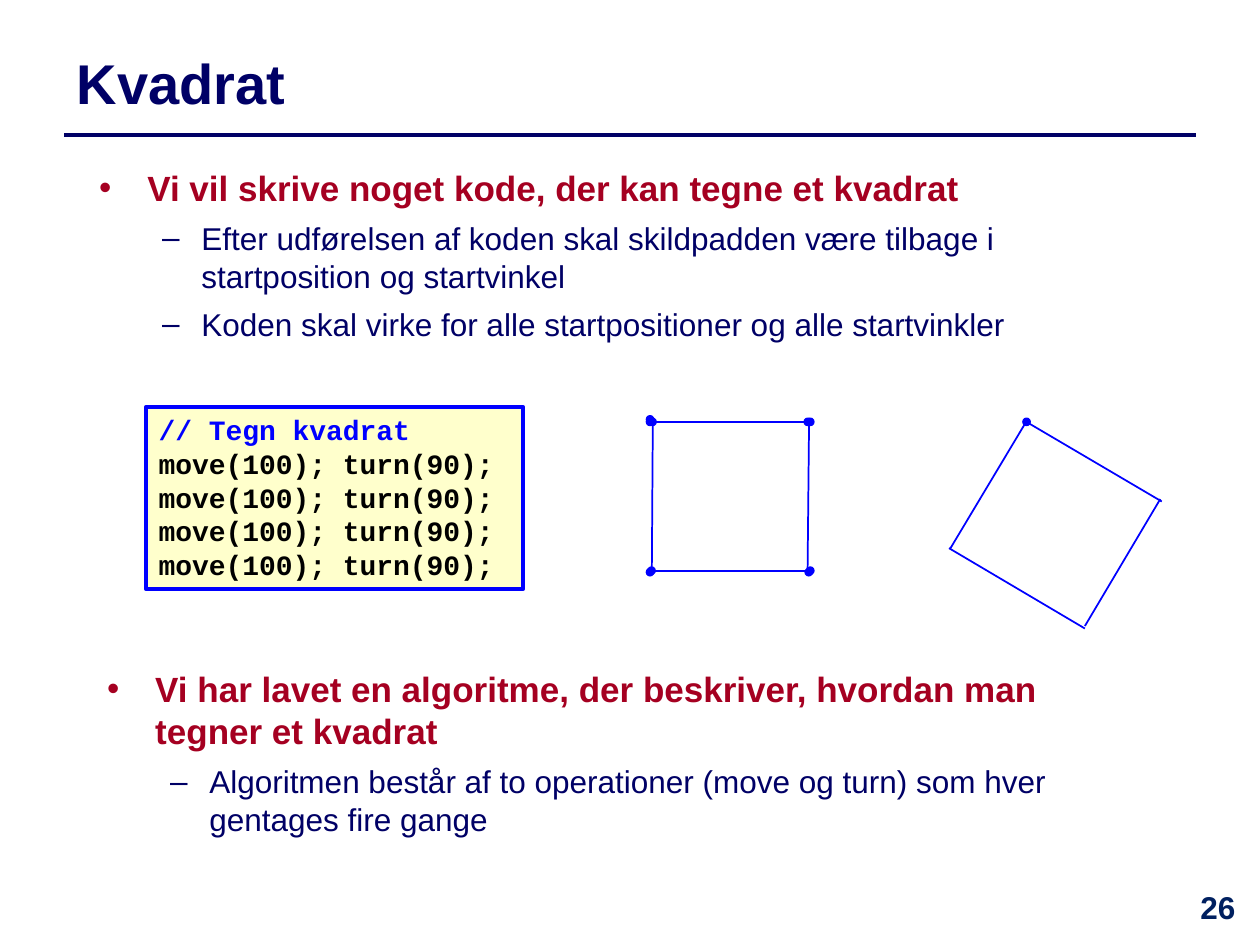
import pptx
import pptx.util
import pptx.dml.color
import pptx.enum.shapes
import pptx.enum.text
import pptx.oxml.ns
import lxml.etree

Cm, Pt = pptx.util.Cm, pptx.util.Pt
KIND = pptx.enum.shapes.MSO_SHAPE
ALIGN = pptx.enum.text.PP_ALIGN
ANCHOR = pptx.enum.text.MSO_ANCHOR
FIT = pptx.enum.text.MSO_AUTO_SIZE

HUES = {"navy": "000066", "red": "A50021", "blue": "0000FF",
        "cream": "FFFFCC", "black": "000000", "page": "002060"}
HEAD = {"size": Pt(32), "bold": True, "name": "Arial"}
MAIN = {"size": Pt(20), "bold": True, "name": "Arial"}
SUB = {"size": Pt(18), "bold": False, "name": "Arial"}
PAGE = {"size": Pt(18), "bold": True, "name": "Arial"}
CODE = {"size": Pt(16), "bold": True, "name": "Courier New"}
LEVELS = [
    {"mark": "•", "left": 0.97, "hang": 0.97, "font": MAIN, "hue": "red"},
    {"mark": "–", "left": 2.06, "hang": 0.79, "font": SUB, "hue": "navy"},
]
DOT = 0.15


class Deck:
    """Hold the style and the current slide."""

    def __init__(self):
        self.file = pptx.Presentation()
        self.file.slide_width, self.file.slide_height = Cm(25.4), Cm(19.05)
        self.slide = self.file.slides.add_slide(self.file.slide_layouts[6])
        self.shapes = self.slide.shapes

    def hue(self, name):
        return pptx.dml.color.RGBColor.from_string(HUES[name])

    def tag(self, node, name, **keys):
        return lxml.etree.SubElement(node, pptx.oxml.ns.qn(name), **keys)

    def style(self, font, form, hue):
        for key, value in form.items():
            setattr(font, key, value)
        font.color.rgb = self.hue(hue)

    def lines(self, frame, rows, form, **look):
        """Write rows of (text, hue) into a frame."""
        frame.word_wrap = True
        for i, (text, hue) in enumerate(rows):
            para = frame.paragraphs[0] if i == 0 else frame.add_paragraph()
            para.text = text
            for key, value in look.items():
                setattr(para, key, value)
            self.style(para.font, form, hue)

    def text(self, area, rows, form, anchor=ANCHOR.TOP, **look):
        frame = self.shapes.add_textbox(*map(Cm, area)).text_frame
        frame.vertical_anchor = anchor
        self.lines(frame, rows, form, **look)

    def list(self, area, items):
        frame = self.shapes.add_textbox(*map(Cm, area)).text_frame
        frame.word_wrap = True
        frame.auto_size = FIT.SHAPE_TO_FIT_TEXT
        for i, (rank, text) in enumerate(items):
            level = LEVELS[rank]
            para = frame.paragraphs[0] if i == 0 else frame.add_paragraph()
            para.text, para.level = text, rank
            if i:
                para.space_before = Pt(6)
            props = para._p.get_or_add_pPr()
            props.set("marL", str(Cm(level["left"])))
            props.set("indent", str(-Cm(level["hang"])))
            self.tag(props, "a:buFont", typeface="Arial")
            self.tag(props, "a:buChar", char=level["mark"])
            self.style(para.font, level["font"], level["hue"])

    def shape(self, kind, area, fill, edge, width):
        shape = self.shapes.add_shape(kind, *map(Cm, area))
        shape.shadow.inherit = False
        shape.fill.solid()
        shape.fill.fore_color.rgb = self.hue(fill)
        shape.line.color.rgb = self.hue(edge)
        shape.line.width = Pt(width)
        return shape

    def code(self, area, rows):
        frame = self.shape(KIND.RECTANGLE, area, "cream", "blue", 2.25).text_frame
        frame.vertical_anchor = ANCHOR.TOP
        frame.auto_size = FIT.SHAPE_TO_FIT_TEXT
        self.lines(frame, rows, CODE, alignment=ALIGN.LEFT)

    def dot(self, left, top):
        self.shape(KIND.OVAL, (left, top, DOT, DOT), "blue", "blue", 0.75)

    def line(self, ends, hue, width):
        line = self.shapes.add_connector(
            pptx.enum.shapes.MSO_CONNECTOR.STRAIGHT, *map(Cm, ends))
        line.line.color.rgb = self.hue(hue)
        line.line.width = Pt(width)
        self.tag(line._element.spPr, "a:effectLst")


def main():
    deck = Deck()
    deck.line((1.3, 2.72, 24.1, 2.72), "navy", 2)
    deck.text((1.3, 0.71, 22.81, 1.91), [("Kvadrat", "navy")], HEAD, ANCHOR.MIDDLE)
    deck.code((2.95, 8.2, 7.59, 3.68), [("// Tegn kvadrat", "blue")]
              + [("move(100); turn(90);", "black")] * 4)
    deck.text((23.7, 17.78, 1.7, 1.27), [("26", "page")], PAGE,
              alignment=ALIGN.CENTER)

    square = [(16.33, 8.51, 13.13, 8.51), (16.31, 8.48, 16.28, 11.48),
              (16.31, 11.51, 13.11, 11.51), (13.16, 8.51, 13.14, 11.51)]
    tilted = [(23.42, 10.11, 20.65, 8.48), (23.39, 10.06, 21.87, 12.62),
              (21.87, 12.67, 19.13, 11.05), (20.7, 8.48, 19.15, 11.07)]
    for ends in square + tilted:
        deck.line(ends, "blue", 1)
    for spot in [(13.03, 8.43), (16.21, 8.43), (16.26, 8.43), (16.26, 11.43),
                 (16.23, 11.46), (13.06, 11.43), (13.08, 8.43), (13.03, 8.38),
                 (13.03, 11.46), (20.62, 8.43)]:
        deck.dot(*spot)

    deck.list((1.75, 3.23, 19.91, 3.84), [
        (0, "Vi vil skrive noget kode, der kan tegne et kvadrat"),
        (1, "Efter udførelsen af koden skal skildpadden være tilbage i "
            "startposition og startvinkel"),
        (1, "Koden skal virke for alle startpositioner og alle startvinkler"),
    ])
    deck.list((1.91, 13.34, 19.91, 3.71), [
        (0, "Vi har lavet en algoritme, der beskriver, hvordan man "
            "tegner et kvadrat"),
        (1, "Algoritmen består af to operationer (move og turn) som hver "
            "gentages fire gange"),
    ])
    deck.file.save("out.pptx")


if __name__ == "__main__":
    main()
